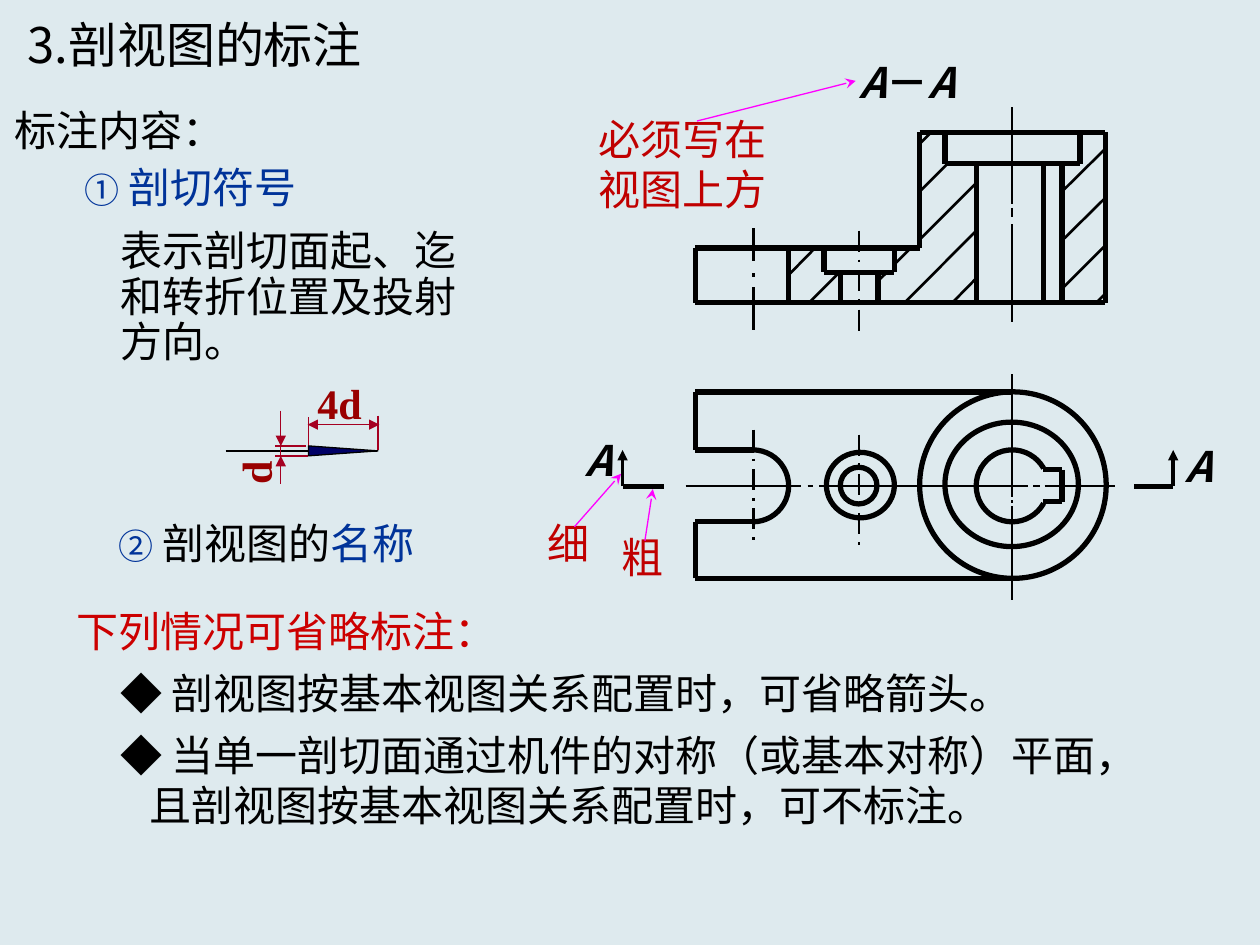
from dataclasses import dataclass
from itertools import pairwise
from typing import NamedTuple

from lxml.etree import SubElement
from pptx import Presentation
from pptx.dml.color import RGBColor
from pptx.enum.dml import MSO_LINE
from pptx.enum.shapes import MSO_CONNECTOR, MSO_SHAPE
from pptx.enum.text import MSO_ANCHOR, MSO_AUTO_SIZE, PP_ALIGN
from pptx.oxml.ns import qn
from pptx.util import Cm, Pt

BACKGROUND = RGBColor(0xDE, 0xEA, 0xEE)
BLACK = RGBColor(0, 0, 0)
BLUE = RGBColor(0, 0x33, 0x99)
NAVY = RGBColor(0, 0, 0x66)
RED = RGBColor(0xCC, 0, 0)
DARK_RED = RGBColor(0xC0, 0, 0)
DIMENSION_TEXT = RGBColor(0x99, 0, 0)
DIMENSION_LINE = RGBColor(0xA5, 0, 0x21)
MAGENTA = RGBColor(0xFF, 0, 0xFF)
SANS = "Noto Sans CJK SC"
SERIF = "Times New Roman"
THICK, MEDIUM, THIN = 3, 1.5, 0.75


class Span(NamedTuple):
    text: str
    size: float | None = None
    color: RGBColor | None = None
    italic: bool | None = None


class Stroke(NamedTuple):
    start: tuple[float, float]
    end: tuple[float, float]
    color: RGBColor = BLACK
    width: float = THICK
    head: str = ""
    tail: str = ""
    dashed: bool = False


@dataclass
class Label:
    area: tuple[float, float, float, float]
    paragraphs: list[list[Span]]
    color: RGBColor = BLACK
    size: float = 24
    font: str = SANS
    centered: bool = False
    wrap: bool = True
    middle: bool = False
    tight: bool = False
    bold: bool = False
    italic: bool = False
    spacing: float | None = None
    last_indent: float = 0
    rotation: float = 0


def length(inches: float) -> Cm:
    return Cm(round(inches * 2.54, 2))


def fill_text(box, label: Label) -> None:
    box.left, box.top, box.width, box.height = map(length, label.area)
    box.rotation = label.rotation
    frame = box.text_frame
    frame.word_wrap = label.wrap
    frame.auto_size = MSO_AUTO_SIZE.SHAPE_TO_FIT_TEXT
    frame.vertical_anchor = MSO_ANCHOR.MIDDLE if label.middle else MSO_ANCHOR.TOP
    if label.tight:
        frame.margin_left = frame.margin_top = frame.margin_right = frame.margin_bottom = 0
    for index, spans in enumerate(label.paragraphs):
        para = frame.add_paragraph() if index else frame.paragraphs[0]
        para.alignment = PP_ALIGN.CENTER if label.centered else PP_ALIGN.LEFT
        if label.spacing:
            para.line_spacing = label.spacing
        if index and index == len(label.paragraphs) - 1 and label.last_indent:
            para._p.get_or_add_pPr().set("marL", str(length(label.last_indent)))
        font = para.font
        font.name, font.size = label.font, Pt(label.size)
        font.bold, font.italic = label.bold, label.italic
        font.color.rgb = label.color
        SubElement(font._element, qn("a:ea"), typeface=label.font)
        for span in spans:
            run = para.add_run()
            run.text = span.text
            if span.size:
                run.font.size = Pt(span.size)
            if span.color is not None:
                run.font.color.rgb = span.color
            if span.italic is not None:
                run.font.italic = span.italic


def draw_stroke(page, stroke: Stroke) -> None:
    line = page.shapes.add_connector(
        MSO_CONNECTOR.STRAIGHT, *map(length, (*stroke.start, *stroke.end)))
    line.line.color.rgb = stroke.color
    line.line.width = Pt(stroke.width)
    if stroke.dashed:
        line.line.dash_style = MSO_LINE.LONG_DASH_DOT
    outline = line.line._get_or_add_ln()
    for tag, kind in (("a:headEnd", stroke.head), ("a:tailEnd", stroke.tail)):
        if kind:
            SubElement(outline, qn(tag), type=kind)
    SubElement(line._element.spPr, qn("a:effectLst"))


def draw_curve(page, area: tuple[float, ...], angles: tuple[float, ...] = ()) -> None:
    kind = MSO_SHAPE.ARC if angles else MSO_SHAPE.OVAL
    curve = page.shapes.add_shape(kind, *map(length, area))
    for index, angle in enumerate(angles):
        curve.adjustments[index] = angle * 0.6
    curve.fill.background()
    curve.line.color.rgb = BLACK
    curve.line.width = Pt(THICK)
    curve.shadow.inherit = False


def draw_arrow_body(page) -> None:
    corners = [(length(x), length(y)) for x, y in [(3, 3.58), (2.45, 3.54), (2.45, 3.62)]]
    builder = page.shapes.build_freeform(*corners[0])
    builder.add_line_segments(corners[1:], close=True)
    wedge = builder.convert_to_shape()
    wedge.fill.solid()
    wedge.fill.fore_color.rgb = NAVY
    wedge.line.color.rgb = BLACK
    wedge.line.width = Pt(THIN)
    wedge.shadow.inherit = False


TITLE = Label((0.12, 0.06, 3.87, 0.57), [[Span("3.剖视图的标注")]], size=28, middle=True)
LABELS = [
    Label((0.57, 1.28, 2.85, 0.47), [[Span("①", 20), Span(" 剖切符号")]], BLUE, spacing=0.9),
    Label((0.78, 4.05, 2.67, 0.51),
          [[Span("②", 20, BLUE), Span(" 剖视图的"), Span("名称", color=BLUE)]],
          centered=True, wrap=False, middle=True),
    Label((0, 0.78, 1.89, 0.5), [[Span("标注内容：")]], centered=True, wrap=False, middle=True),
    Label((6.23, 0.45, 1.94, 0.4), [[Span("A"), Span("－", italic=False), Span("A")]],
          centered=True, tight=True, bold=True, italic=True),
    *[Label((left, top, 0.17, 0.4), [[Span("A")]], centered=True, wrap=False, tight=True,
            bold=True, italic=True) for left, top in [(4.65, 3.45), (9.41, 3.5)]],
    Label((0.86, 1.78, 2.89, 1.19),
          [[Span("表示剖切面起、迄")], [Span("和转折位置及投射")], [Span("方向。")]],
          wrap=False, spacing=0.9),
    Label((0.86, 5.25, 7.82, 0.5), [[Span("◆ 剖视图按基本视图关系配置时，可省略箭头。")]]),
    Label((0.86, 5.74, 9.07, 0.91),
          [[Span("◆ 当单一剖切面通过机件的对称（或基本对称）平面，")],
           [Span("且剖视图按基本视图关系配置时，可不标注。")]], last_indent=0.23),
    Label((0.49, 4.76, 3.57, 0.51), [[Span("下列情况可省略标注：")]], RED, centered=True, wrap=False),
    Label((4.83, 4.17, 0.54, 0.5), [[Span("粗")]], DARK_RED, centered=True),
    Label((4.24, 4.06, 0.54, 0.5), [[Span("细")]], DARK_RED, centered=True),
    Label((4.54, 0.85, 1.75, 0.91), [[Span("必须写在视图上方")]], DARK_RED, centered=True),
    Label((1.83, 3.5, 0.39, 0.5), [[Span("d")]], DIMENSION_TEXT, font=SERIF, wrap=False,
          bold=True, rotation=270),
    Label((2.42, 2.95, 0.55, 0.5), [[Span("4d")]], DIMENSION_TEXT, font=SERIF, wrap=False, bold=True),
]
SECTION_EDGES = [
    [(7.3, 1.97), (7.3, 1.05), (8.77, 1.05), (8.77, 2.4), (5.52, 2.4), (5.52, 1.97), (7.3, 1.97)],
    [(7.5, 1.05), (7.5, 1.3), (8.57, 1.3), (8.57, 1.05)],
    [(6.54, 1.97), (6.54, 2.16), (7.1, 2.16), (7.1, 1.97)],
    *[[(x, top), (x, 2.4)] for x, top in
      [(7.75, 1.3), (8.28, 1.3), (8.43, 1.3), (6.26, 1.97), (6.67, 2.16), (6.97, 2.16)]],
]
PLAN_EDGES = [
    [(8.03, 3.11), (5.52, 3.11), (5.52, 3.57), (5.98, 3.57)],
    [(8.03, 4.59), (5.52, 4.59), (5.52, 4.14), (5.98, 4.14)],
    [(8.28, 3.73), (8.43, 3.73), (8.43, 3.98), (8.28, 3.98)],
    [(4.94, 3.86), (5.27, 3.86)],
    [(9, 3.86), (9.31, 3.86)],
]
HATCHES = [
    (7.3, 1.14, 0.09), (6.26, 2.18, 0.21), (6.42, 2.4, 0.24), (7.3, 1.52, 0.22),
    (6.97, 2.23, 0.07), (7.3, 1.9, 0.46), (7.1, 2.1, 0.13), (7.18, 2.4, 0.57),
    (7.56, 2.4, 0.19), (8.43, 1.52, 0.34), (8.43, 1.91, 0.34), (8.43, 2.29, 0.34), (8.7, 2.4, 0.07),
]
VERTICAL_AXES = {
    5.98: [(1.81, 2.07), (2.17, 2.2), (2.28, 2.62)],
    8.03: [(0.85, 1.62), (1.65, 1.72), (1.78, 2.56), (2.97, 3.94), (3.97, 3.99), (4.02, 4.76)],
}
HORIZONTAL_AXIS = [(5.44, 6.36), (6.41, 6.45), (6.5, 8.16), (8.2, 8.25), (8.29, 8.85)]
DASHED_AXES = [(6.82, 1.83, 2.63), (6.82, 3.45, 4.34), (5.98, 3.41, 4.33)]
CIRCLES = [(7.3, 3.11, 1.48, 1.48), (7.5, 3.35, 1.06, 0.99),
           (6.67, 3.71, 0.29, 0.29), (6.56, 3.59, 0.54, 0.52)]
LEADERS = [((5.12, 4.29), (5.18, 3.88)), ((4.56, 4.18), (4.93, 3.76)), ((5.53, 0.96), (6.79, 0.64))]
DIMENSIONS = [
    ((2.43, 3.54), (2.18, 3.54), "", ""), ((2.44, 3.62), (2.18, 3.62), "", ""),
    ((2.23, 3.26), (2.23, 3.54), "", "triangle"), ((2.23, 3.54), (2.23, 3.63), "", ""),
    ((2.23, 3.84), (2.23, 3.62), "", "triangle"), ((2.45, 3.31), (2.45, 3.54), "", ""),
    ((3, 3.3), (3, 3.57), "", ""), ((2.44, 3.37), (3.01, 3.37), "triangle", "triangle"),
]
STROKES = [
    *[Stroke(*edge) for chain in SECTION_EDGES + PLAN_EDGES for edge in pairwise(chain)],
    *[Stroke((x, y), (x + size, y - size), width=MEDIUM) for x, y, size in HATCHES],
    *[Stroke((x, top), (x, bottom), width=MEDIUM)
      for x, pieces in VERTICAL_AXES.items() for top, bottom in pieces],
    *[Stroke((left, 3.86), (right, 3.86), width=MEDIUM) for left, right in HORIZONTAL_AXIS],
    *[Stroke((x, top), (x, bottom), width=MEDIUM, dashed=True) for x, top, bottom in DASHED_AXES],
    *[Stroke((x, 3.86), (x, 3.57), width=0, tail="triangle") for x in (4.94, 9.31)],
    *[Stroke(start, end, MAGENTA, THIN, tail="stealth") for start, end in LEADERS],
    Stroke((1.79, 3.58), (2.99, 3.58), width=MEDIUM),
    *[Stroke(start, end, DIMENSION_LINE, THIN, head, tail) for start, end, head, tail in DIMENSIONS],
]


def main() -> None:
    deck = Presentation()
    deck.slide_width, deck.slide_height = Cm(25.4), Cm(19.05)
    page = deck.slides.add_slide(deck.slide_layouts[5])
    page.background.fill.solid()
    page.background.fill.fore_color.rgb = BACKGROUND
    fill_text(page.shapes.title, TITLE)
    for label in LABELS:
        fill_text(page.shapes.add_textbox(0, 0, 0, 0), label)
    for circle in CIRCLES:
        draw_curve(page, circle)
    draw_curve(page, (7.75, 3.57, 0.57, 0.57), (29, 331))
    draw_curve(page, (5.69, 3.57, 0.57, 0.57), (270, 90))
    for stroke in STROKES:
        draw_stroke(page, stroke)
    draw_arrow_body(page)
    deck.save("out.pptx")


if __name__ == "__main__":
    main()
